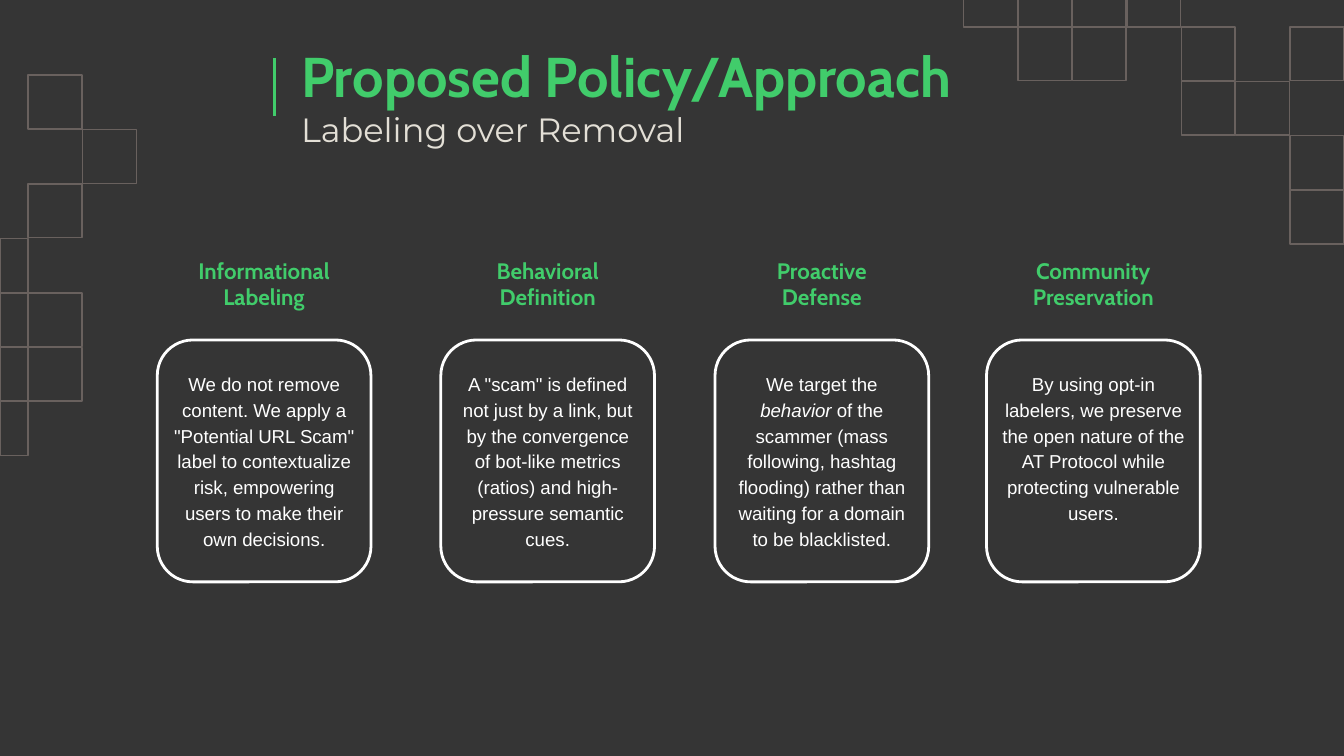
from lxml import etree
from pptx import Presentation
from pptx.dml.color import RGBColor
from pptx.enum.shapes import MSO_CONNECTOR, MSO_SHAPE
from pptx.enum.text import MSO_ANCHOR, MSO_AUTO_SIZE, PP_ALIGN
from pptx.oxml.ns import qn
from pptx.util import Inches, Pt

COLORS = {
    "background": "353535",
    "grid": "69615E",
    "accent": "41CC6B",
    "subtitle": "E3DFD6",
    "white": "FFFFFF",
}
SLIDE_WIDTH = 10
PITCH = 0.405
SQUARE = 0.4
HALF = 0.21
CARD_TOP, CARD_WIDTH, CARD_HEIGHT = 2.53, 1.59, 1.8
HEADING_TOP, HEADING_WIDTH = 1.81, 1.71

# Grid cells as (column, row); the outermost column or row is cut in half.
LEFT_CELLS = [(0, 3), (0, 4), (0, 5), (0, 6), (1, 0), (1, 2), (1, 4), (1, 5), (2, 1)]
RIGHT_CELLS = [(0, 0), (1, 0), (2, 0), (3, 0), (1, 1), (2, 1), (4, 1), (6, 1),
               (4, 2), (5, 2), (6, 3), (6, 4)]

# Card left, heading lines, body width, body runs (text, italic)
CARDS = [
    (1.17, ["Informational Labeling"], 1.55,
     [("We do not remove content. We apply a \"Potential URL Scam\" label to "
       "contextualize risk, empowering users to make their own decisions.", False)]),
    (3.28, ["Behavioral Definition"], 1.55,
     [("A \"scam\" is defined not just by a link, but by the convergence of "
       "bot-like metrics (ratios) and high-pressure semantic cues.", False)]),
    (5.32, ["Proactive", "Defense"], 1.53,
     [("We target the ", False), ("behavior", True),
      (" of the scammer (mass following, hashtag flooding) rather than "
       "waiting for a domain to be blacklisted.", False)]),
    (7.34, ["Community Preservation"], 1.59,
     [("By using opt-in labelers, we preserve the open nature of the AT Protocol "
       "while protecting vulnerable users.", False)]),
]


def color(name):
    return RGBColor.from_string(COLORS[name])


def add_outline(slide, preset, left, top, width, height, line_color, weight):
    outline = slide.shapes.add_shape(
        preset, Inches(left), Inches(top), Inches(width), Inches(height))
    outline.shadow.inherit = False
    outline.fill.background()
    outline.line.color.rgb = color(line_color)
    outline.line.width = Pt(weight)


def add_grid_corners(slide):
    """Draw the open squares at the left edge and in the top right corner."""
    cells = []
    for column, row in LEFT_CELLS:
        left = HALF + PITCH * (column - 1) if column else 0
        cells.append((left, 0.56 + PITCH * row, SQUARE if column else HALF, SQUARE))
    for column, row in RIGHT_CELLS:
        top = 0.2 + PITCH * (row - 1) if row else -0.01
        cells.append((7.17 + PITCH * column, top, SQUARE, SQUARE if row else HALF))
    for cell in cells:
        add_outline(slide, MSO_SHAPE.RECTANGLE, *cell, "grid", 0.75)


def add_title_rule(slide):
    rule = slide.shapes.add_connector(
        MSO_CONNECTOR.STRAIGHT, Inches(2.04), Inches(0.43), Inches(2.04), Inches(0.86))
    rule.line.color.rgb = color("accent")
    rule.line.width = Pt(1.5)
    etree.SubElement(rule._element.spPr, qn("a:effectLst"))


def set_frame(frame, left_inset=0.1):
    frame.word_wrap = True
    frame.auto_size = MSO_AUTO_SIZE.NONE
    frame.vertical_anchor = MSO_ANCHOR.TOP
    frame.margin_left = Inches(left_inset)
    frame.margin_right = frame.margin_top = frame.margin_bottom = Inches(0.1)


def format_text(frame, font, size, text_color, align, bold=False, spacing=1.0):
    for paragraph in frame.paragraphs:
        paragraph.alignment = align
        paragraph.line_spacing = spacing
        paragraph.space_before = Pt(0)
        for run in paragraph.runs:
            run.font.name = font
            run.font.size = Pt(size)
            run.font.bold = bold
            run.font.color.rgb = color(text_color)


def fill_placeholder(holder, box, text, font, size, text_color, bold=False):
    holder.left, holder.top, holder.width, holder.height = map(Inches, box)
    frame = holder.text_frame
    frame.text = text
    set_frame(frame, left_inset=0.2)
    format_text(frame, font, size, text_color, PP_ALIGN.LEFT, bold)


def add_centered_box(slide, center, top, width, height):
    box = slide.shapes.add_textbox(
        Inches(center - width / 2), Inches(top), Inches(width), Inches(height))
    set_frame(box.text_frame)
    return box.text_frame


def add_card(slide, left, heading_lines, body_width, body_runs):
    add_outline(slide, MSO_SHAPE.ROUNDED_RECTANGLE, left, CARD_TOP,
                CARD_WIDTH, CARD_HEIGHT, "white", 1.5)
    center = left + CARD_WIDTH / 2

    heading = add_centered_box(slide, center, HEADING_TOP, HEADING_WIDTH, 0.43)
    heading.text = "\n".join(heading_lines)
    format_text(heading, "Cabin", 12, "accent", PP_ALIGN.CENTER, bold=True)

    body = add_centered_box(slide, center, 2.65, body_width, CARD_HEIGHT)
    for text, italic in body_runs:
        run = body.paragraphs[0].add_run()
        run.text = text
        run.font.italic = italic
    format_text(body, "Arial", 10, "white", PP_ALIGN.CENTER, spacing=1.15)


def main():
    deck = Presentation()
    deck.slide_width = Inches(SLIDE_WIDTH)
    deck.slide_height = Inches(SLIDE_WIDTH * 9 / 16)
    slide = deck.slides.add_slide(deck.slide_layouts[0])
    slide.background.fill.solid()
    slide.background.fill.fore_color.rgb = color("background")

    add_grid_corners(slide)
    add_title_rule(slide)
    fill_placeholder(slide.shapes.title, (2.04, 0.21, 6.51, 0.57),
                     "Proposed Policy/Approach", "Cabin", 30, "accent", bold=True)
    fill_placeholder(slide.placeholders[1], (2.04, 0.71, 4.6, 0.21),
                     "Labeling over Removal", "Montserrat", 18, "subtitle")
    for card in CARDS:
        add_card(slide, *card)
    deck.save("out.pptx")


if __name__ == "__main__":
    main()
